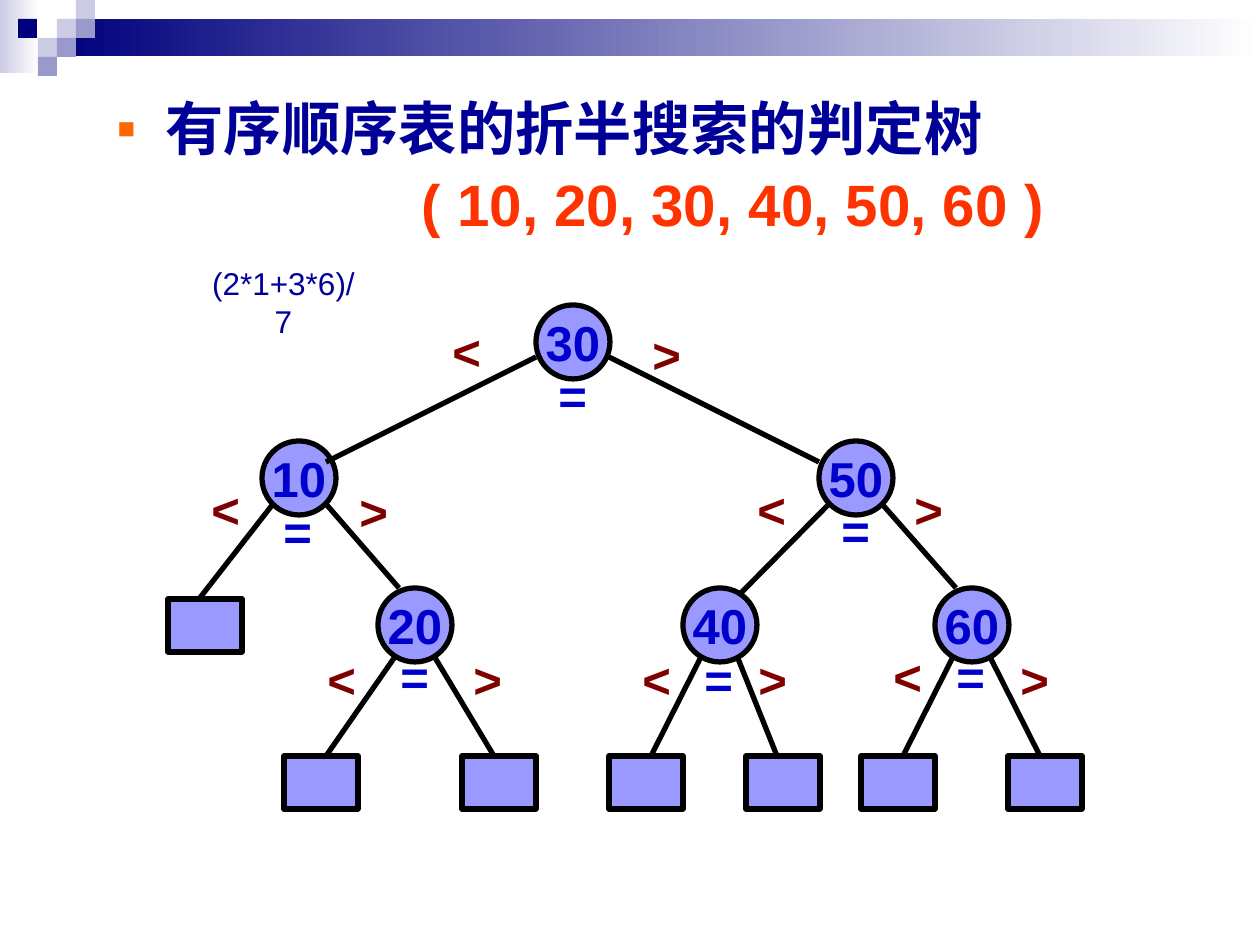
from lxml.etree import SubElement
from pptx import Presentation
from pptx.dml.color import RGBColor
from pptx.enum.shapes import MSO_CONNECTOR, MSO_SHAPE
from pptx.enum.text import MSO_ANCHOR, MSO_AUTO_SIZE, PP_ALIGN
from pptx.oxml.ns import qn
from pptx.util import Emu, Pt

EMU_PER_PX = 914400 / 126
NAVY = RGBColor(0x00, 0x00, 0x7D)
LAVENDER = RGBColor(0xCC, 0xCC, 0xE6)
MAUVE = RGBColor(0x99, 0x99, 0xCC)
WHITE = RGBColor(0xFF, 0xFF, 0xFF)
BLACK = RGBColor(0x00, 0x00, 0x00)
PERIWINKLE = RGBColor(0x99, 0x99, 0xFF)
BLUE = RGBColor(0x00, 0x00, 0xCC)
INDIGO = RGBColor(0x00, 0x00, 0x99)
MAROON = RGBColor(0x80, 0x00, 0x00)
RED = RGBColor(0xFF, 0x33, 0x00)
ORANGE = RGBColor(0xFF, 0x66, 0x00)

BANDS = [(0, 0, 39, 73, LAVENDER), (57, 19, 1203, 37, NAVY)]
SQUARES = [
    (57, 19, LAVENDER), (76, 0, LAVENDER), (76, 19, MAUVE), (38, 38, LAVENDER),
    (18, 19, NAVY), (57, 38, MAUVE), (38, 57, MAUVE),
]
UPPER_NODES = [("10", 262, 441), ("50", 819, 441), ("30", 536, 305)]
LOWER_NODES = [("20", 378, 588), ("40", 683, 588), ("60", 935, 588)]
LEAVES = [(168, 599)] + [(left, 756) for left in (284, 462, 609, 746, 861, 1008)]
EDGES = [
    (536, 357, 326, 462), (609, 357, 819, 462),
    (273, 504, 199, 599), (326, 504, 399, 588),
    (829, 504, 735, 599), (882, 504, 956, 588),
    (399, 651, 326, 756), (431, 651, 494, 756),
    (704, 651, 651, 756), (735, 651, 777, 756),
    (956, 651, 903, 756), (987, 651, 1040, 756),
]
COMPARISONS = {
    "=": (BLUE, [(546, 359), (271, 495), (829, 494), (388, 640), (692, 643), (944, 640)]),
    "<": (MAROON, [(440, 315), (199, 473), (745, 473), (315, 643), (630, 643), (881, 640)]),
    ">": (MAROON, [(640, 318), (347, 475), (902, 473), (461, 643), (746, 643), (1008, 643)]),
}


def px(length):
    """Turn pixels into EMU."""
    return Emu(round(length * EMU_PER_PX))


class TreeSlide:
    """Hold the slide and the style of the decision tree."""

    font_name = "Arial"
    outline = Pt(3)
    node_size = 74
    leaf_height = 53

    def __init__(self, presentation):
        self.slide = presentation.slides.add_slide(presentation.slide_layouts[5])

    def style(self, paragraph, size, color, bold=True):
        """Set the font of a paragraph."""
        font = paragraph.font
        font.name, font.size, font.bold = self.font_name, Pt(size), bold
        font.color.rgb = color

    def shape(self, kind, left, top, width, height):
        """Add a preset shape without shadow or line."""
        shape = self.slide.shapes.add_shape(kind, px(left), px(top), px(width), px(height))
        shape.shadow.inherit = False
        shape.line.fill.background()
        return shape

    def band(self, left, top, width, height, color):
        """Add a rectangle that fades to white."""
        fill = self.shape(MSO_SHAPE.RECTANGLE, left, top, width, height).fill
        fill.gradient()
        fill.gradient_angle = 0
        for stop, position, stop_color in zip(fill.gradient_stops, (0, 1), (color, WHITE)):
            stop.position = position
            stop.color.rgb = stop_color

    def square(self, left, top, color):
        """Add a small decorative square."""
        fill = self.shape(MSO_SHAPE.RECTANGLE, left, top, 19, 19).fill
        fill.solid()
        fill.fore_color.rgb = color

    def outlined(self, kind, left, top, height):
        """Add a filled tree shape with a black outline."""
        shape = self.shape(kind, left, top, self.node_size, height)
        shape.fill.solid()
        shape.fill.fore_color.rgb = PERIWINKLE
        shape.line.color.rgb = BLACK
        shape.line.width = self.outline
        return shape

    def node(self, key, left, top):
        """Add an inner node with its key."""
        frame = self.outlined(MSO_SHAPE.OVAL, left, top, self.node_size).text_frame
        frame.word_wrap = False
        frame.vertical_anchor = MSO_ANCHOR.MIDDLE
        paragraph = frame.paragraphs[0]
        paragraph.text = key
        paragraph.alignment = PP_ALIGN.CENTER
        self.style(paragraph, 28, BLUE)

    def leaf(self, left, top):
        """Add an outer node."""
        self.outlined(MSO_SHAPE.RECTANGLE, left, top, self.leaf_height)

    def edge(self, *ends):
        """Add a straight line between two points."""
        line = self.slide.shapes.add_connector(MSO_CONNECTOR.STRAIGHT, *map(px, ends))
        line.line.color.rgb = BLACK
        line.line.width = self.outline
        SubElement(line._element.spPr, qn("a:effectLst"))

    def label(self, text, left, top, width, height, size, color, bold=True):
        """Add a centred label."""
        box = self.slide.shapes.add_textbox(px(left), px(top), px(width), px(height))
        box.text_frame.word_wrap = False
        paragraph = box.text_frame.paragraphs[0]
        paragraph.text = text
        paragraph.alignment = PP_ALIGN.CENTER
        self.style(paragraph, size, color, bold)

    def bullet(self, paragraph):
        """Give a paragraph a hanging square bullet."""
        properties = paragraph._p.get_or_add_pPr()
        properties.set("marL", str(px(48)))
        properties.set("indent", str(px(-48)))
        color = SubElement(properties, qn("a:buClr"))
        SubElement(color, qn("a:srgbClr"), val=str(ORANGE))
        SubElement(properties, qn("a:buSzPct"), val="50000")
        SubElement(properties, qn("a:buFont"), typeface=self.font_name)
        SubElement(properties, qn("a:buChar"), char="■")

    def title(self, heading, keys):
        """Fill the title with the heading and the list of keys."""
        title = self.slide.shapes.title
        title.left, title.top, title.width, title.height = map(px, (105, 94, 1029, 168))
        frame = title.text_frame
        frame.text = f"{heading}\n{keys}"
        frame.auto_size = MSO_AUTO_SIZE.NONE
        frame.word_wrap = True
        frame.vertical_anchor = MSO_ANCHOR.TOP
        first, second = frame.paragraphs
        self.bullet(first)
        second._p.get_or_add_pPr().set("marL", str(px(304)))
        second.space_before = Pt(7.5)
        for paragraph, color in ((first, INDIGO), (second, RED)):
            paragraph.alignment = PP_ALIGN.LEFT
            paragraph.line_spacing = 0.9
            self.style(paragraph, 33.3, color)


def main():
    """Build the slide and save it."""
    presentation = Presentation()
    presentation.slide_width, presentation.slide_height = px(1260), px(945)
    tree = TreeSlide(presentation)
    for band in BANDS:
        tree.band(*band)
    for square in SQUARES:
        tree.square(*square)
    tree.title("有序顺序表的折半搜索的判定树", "( 10, 20, 30, 40, 50, 60 )")
    for node in UPPER_NODES:
        tree.node(*node)
    for leaf in LEAVES:
        tree.leaf(*leaf)
    for edge in EDGES:
        tree.edge(*edge)
    for node in LOWER_NODES:
        tree.node(*node)
    for sign, (color, places) in COMPARISONS.items():
        for left, top in places:
            tree.label(sign, left, top, 53, 72, 28, color)
    tree.label("(2*1+3*6)/7", 191, 258, 185, 50, 18, INDIGO, bold=False)
    presentation.save("out.pptx")


if __name__ == "__main__":
    main()
